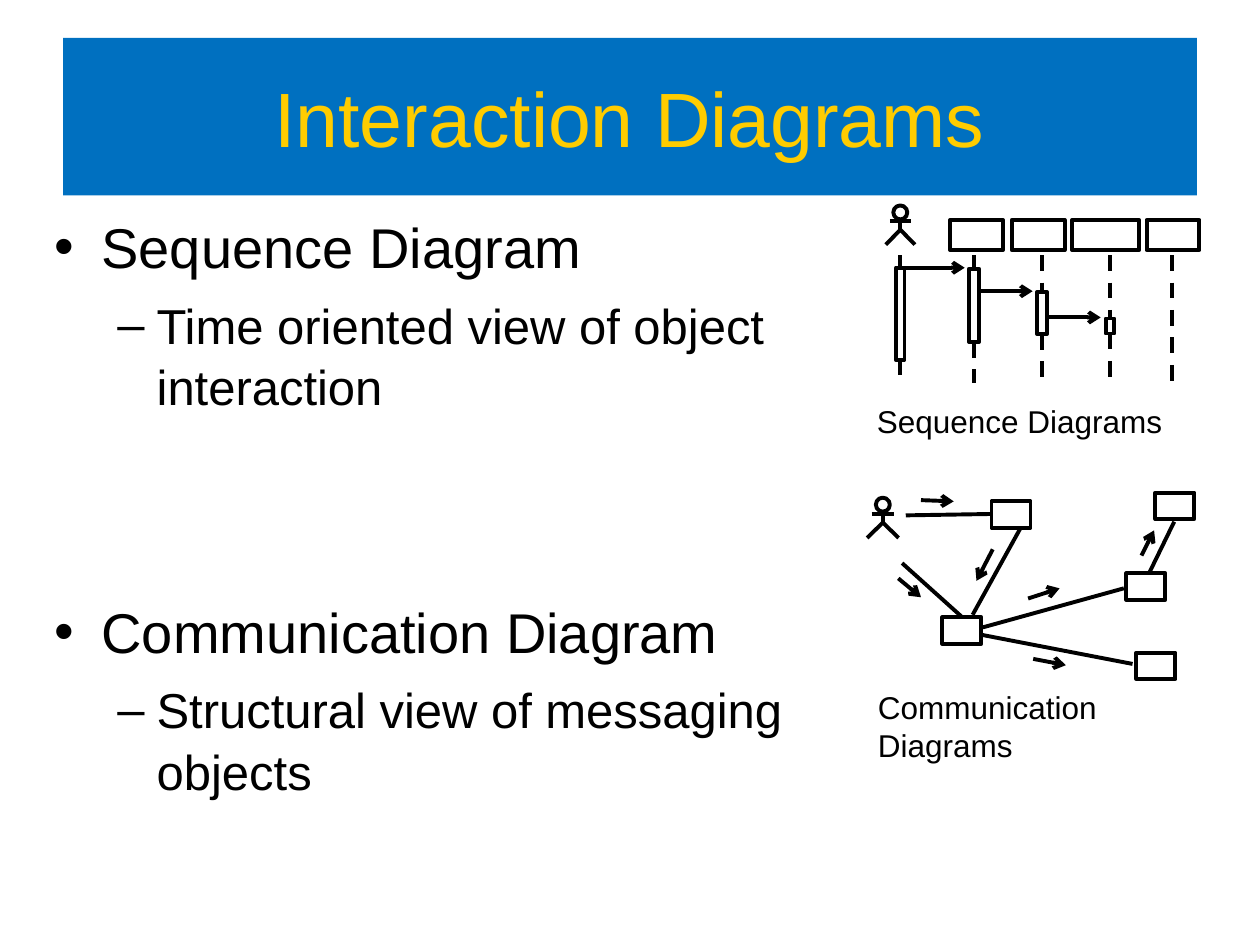
from lxml import etree
from pptx import Presentation
from pptx.dml.color import RGBColor
from pptx.enum import dml, shapes, text
from pptx.oxml import ns
from pptx.util import Pt

BLACK = "000000"
LINE_WIDTH = 2.25


def color(hex_code):
    return RGBColor.from_string(hex_code)


def add_run(paragraph, wording, size, hex_code=BLACK):
    run = paragraph.add_run()
    run.text = wording
    run.font.name = "Arial"
    run.font.size = Pt(size)
    run.font.color.rgb = color(hex_code)


def place(shape, left, top, width, height):
    shape.left, shape.top = Pt(left), Pt(top)
    shape.width, shape.height = Pt(width), Pt(height)


def outline(shape):
    """Leave only a black outline on a shape."""
    shape.shadow.inherit = False
    shape.fill.background()
    shape.line.color.rgb = color(BLACK)
    shape.line.width = Pt(LINE_WIDTH)


def add_outlined(slide, left, top, width, height, kind=shapes.MSO_SHAPE.RECTANGLE):
    outline(slide.shapes.add_shape(kind, Pt(left), Pt(top), Pt(width), Pt(height)))


def add_line(slide, x1, y1, x2, y2, dashed=False, arrow=False):
    link = slide.shapes.add_connector(
        shapes.MSO_CONNECTOR.STRAIGHT, Pt(x1), Pt(y1), Pt(x2), Pt(y2))
    link.line.color.rgb = color(BLACK)
    link.line.width = Pt(LINE_WIDTH)
    if dashed:
        link.line.dash_style = dml.MSO_LINE.DASH
    properties = link._element.spPr
    if arrow:
        etree.SubElement(properties.find(ns.qn("a:ln")), ns.qn("a:tailEnd"), type="arrow")
    etree.SubElement(properties, ns.qn("a:effectLst"))


def add_caption(slide, wording, left, top, width, height):
    caption = slide.shapes.add_textbox(Pt(left), Pt(top), Pt(width), Pt(height))
    caption.text_frame.word_wrap = True
    paragraph = caption.text_frame.paragraphs[0]
    paragraph.space_before = Pt(11.2)
    add_run(paragraph, wording, 18)


def add_actor(slide, left, top, width, height):
    """Draw a stick figure that fills the given box."""
    head = 8
    middle, hip = left + width / 2, top + 0.62 * height
    arms, reach = top + 0.4 * height, 0.36 * width
    add_outlined(slide, middle - head / 2, top, head, head, shapes.MSO_SHAPE.OVAL)
    add_line(slide, middle, top + head, middle, hip)
    add_line(slide, middle - reach, arms, middle + reach, arms)
    foot = top + height
    legs = slide.shapes.build_freeform(Pt(left), Pt(foot))
    legs.add_line_segments(
        [(Pt(middle), Pt(hip)), (Pt(left + width), Pt(foot))], close=False)
    outline(legs.convert_to_shape())


def add_title(slide, wording, left, top, width, height):
    title = slide.shapes.title
    place(title, left, top, width, height)
    title.fill.solid()
    title.fill.fore_color.rgb = color("0070C0")
    title.text_frame.vertical_anchor = text.MSO_ANCHOR.MIDDLE
    paragraph = title.text_frame.paragraphs[0]
    paragraph.alignment = text.PP_ALIGN.CENTER
    add_run(paragraph, wording, 44, "FFCC00")


def add_definitions(slide, definitions, left, top, width, height):
    body = slide.placeholders[1]
    place(body, left, top, width, height)
    frame = body.text_frame
    paragraph = frame.paragraphs[0]
    for index, (term, meaning) in enumerate(definitions):
        if index:
            paragraph = frame.add_paragraph()
        paragraph.space_before = Pt(102 if index else 8)
        paragraph.line_spacing = 1.05
        add_run(paragraph, term, 32)
        detail = frame.add_paragraph()
        detail.level = 1
        detail.space_before = Pt(7)
        detail.line_spacing = 1.05
        add_run(detail, meaning, 28)


def add_sequence_diagram(slide, left, top):
    add_actor(slide, left + 12.2, top, 16.6, 22.4)
    for x, width in ((48.9, 30.2), (84.2, 30.2), (118.7, 38.2), (161.2, 30.2)):
        add_outlined(slide, left + x, top + 8.3, width, 17.3)

    life_start, life_end = top + 28.4, top + 101.2
    # Lifeline x, activation top, height and width
    activations = [(20.4, 35.6, 52.6, 5), (62.6, 36.2, 41.8, 5.8),
                   (101.4, 49.6, 23.8, 5.8), (140.3, 64.6, 8.6, 5)]
    for x, start, length, width in activations:
        x, start = left + x, top + start
        add_line(slide, x, life_start, x, start, dashed=True)
        add_outlined(slide, x - width / 2, start, width, length)
        add_line(slide, x, start + length, x, life_end, dashed=True)
    add_line(slide, left + 175.6, life_start, left + 175.6, life_end, dashed=True)

    for sender, receiver in zip(activations, activations[1:]):
        y = top + receiver[1] - 0.6
        add_line(slide, left + sender[0] + sender[3] / 2, y,
                 left + receiver[0] - 5.3, y, arrow=True)
    add_caption(slide, "Sequence Diagrams", left, top + 109, 197, 29)


def add_communication_diagram(slide, left, top):
    add_actor(slide, left + 0.9, top + 2.9, 18, 23)
    for x, y in ((72, 5), (43.9, 71.3), (154.8, 91.4), (149, 46.1), (165.6, 0)):
        add_outlined(slide, left + x, top + y, 22.3, 15.1)

    links = [(20.9, 40.3, 55.4, 71.3), (23, 13, 72, 12.2), (67, 81.4, 152.6, 97.9),
             (67, 77, 147.6, 54.7), (162, 46.1, 176.4, 16.6), (88.6, 20.2, 61.2, 69.8)]
    messages = [(18.7, 49, 31.7, 59.8), (72.7, 32.4, 63.4, 50.4),
                (92.9, 60.5, 110.9, 54.7), (95.8, 95, 114.5, 98.6),
                (157.7, 36, 164.9, 21.6), (31.7, 4.3, 50.4, 5)]
    for lines, arrow in ((links, False), (messages, True)):
        for x1, y1, x2, y2 in lines:
            add_line(slide, left + x1, top + y1, left + x2, top + y2, arrow=arrow)
    add_caption(slide, "Communication Diagrams", left, top + 108, 203, 50.4)


def main():
    deck = Presentation()
    deck.slide_width, deck.slide_height = Pt(720), Pt(540)
    slide = deck.slides.add_slide(deck.slide_layouts[1])
    add_title(slide, "Interaction Diagrams", 36, 21.6, 648, 90)
    add_definitions(slide, [
        ("Sequence Diagram", "Time oriented view of object interaction"),
        ("Communication Diagram", "Structural view of messaging objects"),
    ], 23.8, 116, 439, 404.6)
    add_sequence_diagram(slide, 494, 117.4)
    add_communication_diagram(slide, 494.6, 281.5)
    deck.save("out.pptx")


if __name__ == "__main__":
    main()
